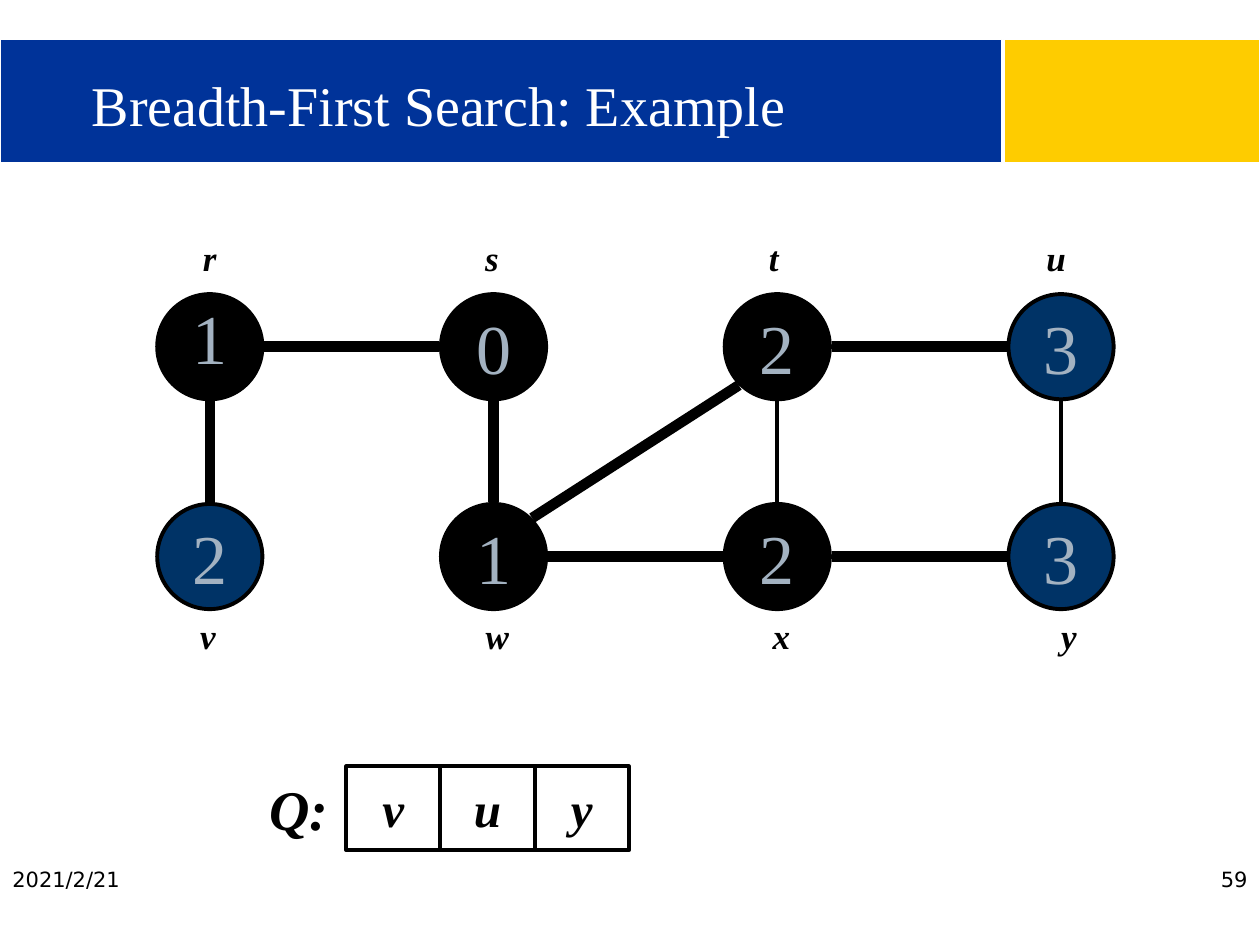
from dataclasses import dataclass
from math import copysign, hypot

from pptx import Presentation
from pptx.dml.color import RGBColor as Rgb
from pptx.enum.shapes import MSO_CONNECTOR as Link, MSO_SHAPE as Form
from pptx.enum.text import MSO_ANCHOR as Anchor, PP_ALIGN as Align
from pptx.oxml.ns import qn
from pptx.util import Cm, Pt
from lxml.etree import SubElement


@dataclass(frozen=True)
class Theme:
    blue: str = "003399"
    gold: str = "FECC00"
    navy: str = "003366"
    black: str = "000000"
    white: str = "FFFFFF"
    silver: str = "A3B2C1"
    serif: str = "Times New Roman"
    sans: str = "DejaVu Sans"
    title: int = 32
    distance: int = 40
    queue: int = 28
    label: int = 20
    footer: int = 12
    frame: float = 0.75
    thin: float = 2.25
    thick: float = 6


def write(holder, text, *, size, color, font, bold=False, italic=False,
          align=Align.CENTER, anchor=Anchor.MIDDLE, wrap=False, spacing=None):
    frame = holder.text_frame
    frame.word_wrap = wrap
    frame.vertical_anchor = anchor
    line = frame.paragraphs[0]
    line.alignment = align
    if spacing:
        line.line_spacing = spacing
    run = line.add_run()
    run.text = text
    run.font.name = font
    run.font.size = Pt(size)
    run.font.bold = bold
    run.font.italic = italic
    run.font.color.rgb = Rgb.from_string(color)


class Board:
    def __init__(self, slide, theme):
        self.slide = slide
        self.theme = theme

    def shape(self, form, left, top, width, height, fill, outline, weight):
        body = self.slide.shapes.add_shape(
            form, Cm(left), Cm(top), Cm(width), Cm(height))
        body.shadow.inherit = False
        if fill:
            body.fill.solid()
            body.fill.fore_color.rgb = Rgb.from_string(fill)
        else:
            body.fill.background()
        body.line.color.rgb = Rgb.from_string(outline)
        body.line.width = Pt(weight)
        return body

    def text(self, text, left, top, width, height, **style):
        box = self.slide.shapes.add_textbox(
            Cm(left), Cm(top), Cm(width), Cm(height))
        write(box, text, **style)

    def band(self, left, width, fill):
        self.shape(Form.RECTANGLE, left, 0.8, width, 2.48, fill,
                   self.theme.white, self.theme.frame)

    def vertex(self, center, distance, fill, spacing=None):
        x, y = center
        circle = self.shape(Form.OVAL, x - RADIUS, y - RADIUS, 2 * RADIUS,
                            2 * RADIUS, fill, self.theme.black, self.theme.thin)
        write(circle, distance, size=self.theme.distance, color=self.theme.silver,
              font=self.theme.serif, spacing=spacing)

    def name(self, text, left, top, width, height, size, anchor=Anchor.MIDDLE):
        self.text(text, left, top, width, height, size=size, anchor=anchor,
                  color=self.theme.black, font=self.theme.serif,
                  bold=True, italic=True)

    def edge(self, start, end, weight):
        across, down = (copysign(1, b - a) if a != b else 0
                        for a, b in zip(start, end))
        reach = (RADIUS + 0.04) / hypot(across, down)
        dx, dy = across * reach, down * reach
        link = self.slide.shapes.add_connector(
            Link.STRAIGHT, Cm(start[0] + dx), Cm(start[1] + dy),
            Cm(end[0] - dx), Cm(end[1] - dy))
        link.line.color.rgb = Rgb.from_string(self.theme.black)
        link.line.width = Pt(weight)
        SubElement(link._element.spPr, qn("a:effectLst"))

    def cell(self, text, left):
        square = self.shape(Form.RECTANGLE, left, QUEUE_TOP, CELL_WIDTH,
                            CELL_HEIGHT, None, self.theme.black, self.theme.thin)
        write(square, text, size=self.theme.queue, color=self.theme.black,
              font=self.theme.serif, bold=True, italic=True)

    def footer(self, text, left, align):
        self.text(text, left, 17.35, 5.5, 1.32, size=self.theme.footer,
                  color=self.theme.black, font=self.theme.sans,
                  align=align, anchor=Anchor.TOP, wrap=True)


RADIUS = 1.06
FIRST_X, COLUMN_STEP = 4.23, 5.72
ROW_Y = (6.99, 11.22)
LABEL_TOP = (4.65, 12.27)
LABEL_WIDTH, LABEL_HEIGHT = 0.9, 1.1
QUEUE_LEFT, QUEUE_TOP = 5.08, 15.45
CELL_WIDTH, CELL_HEIGHT = 1.9, 1.69

VERTICES = (
    (("r", "1", 0), ("s", "0", -0.03), ("t", "2", -0.07), ("u", "3", -0.1)),
    (("v", "2", -0.04), ("w", "1", 0.04), ("x", "2", 0.08), ("y", "3", 0.16)),
)
TREE_EDGES = ("vr", "rs", "sw", "wt", "wx", "tu", "xy")
OTHER_EDGES = ("xt", "yu")
QUEUE = ("v", "u", "y")


def main():
    theme = Theme()
    deck = Presentation()
    deck.slide_width, deck.slide_height = Cm(25.4), Cm(19.05)
    board = Board(deck.slides.add_slide(deck.slide_layouts[6]), theme)

    board.band(20.24, 5.16, theme.gold)
    board.band(0, 20.19, theme.blue)
    board.text("Breadth-First Search: Example", 1.6, 0.83, 22.23, 2.07,
               size=theme.title, color=theme.white, font=theme.serif,
               align=Align.LEFT, anchor=Anchor.BOTTOM, wrap=True)
    board.footer("59", 19.9, Align.RIGHT)
    board.footer("2021/2/21", 0, Align.LEFT)

    centers = {}
    for y, label_top, row in zip(ROW_Y, LABEL_TOP, VERTICES):
        for column, (name, distance, nudge) in enumerate(row):
            x = FIRST_X + column * COLUMN_STEP
            centers[name] = (x, y)
            board.vertex((x, y), distance,
                         theme.navy if name in QUEUE else theme.black,
                         spacing=0.7 if name == "r" else None)
            board.name(name, x + nudge - LABEL_WIDTH / 2, label_top,
                       LABEL_WIDTH, LABEL_HEIGHT, theme.label, Anchor.TOP)

    for edges, weight in ((TREE_EDGES, theme.thick), (OTHER_EDGES, theme.thin)):
        for start, end in edges:
            board.edge(centers[start], centers[end], weight)

    board.name("Q:", QUEUE_LEFT, QUEUE_TOP, CELL_WIDTH, CELL_HEIGHT, theme.title)
    for place, name in enumerate(QUEUE, start=1):
        board.cell(name, QUEUE_LEFT + place * CELL_WIDTH)

    deck.save("out.pptx")


if __name__ == "__main__":
    main()
